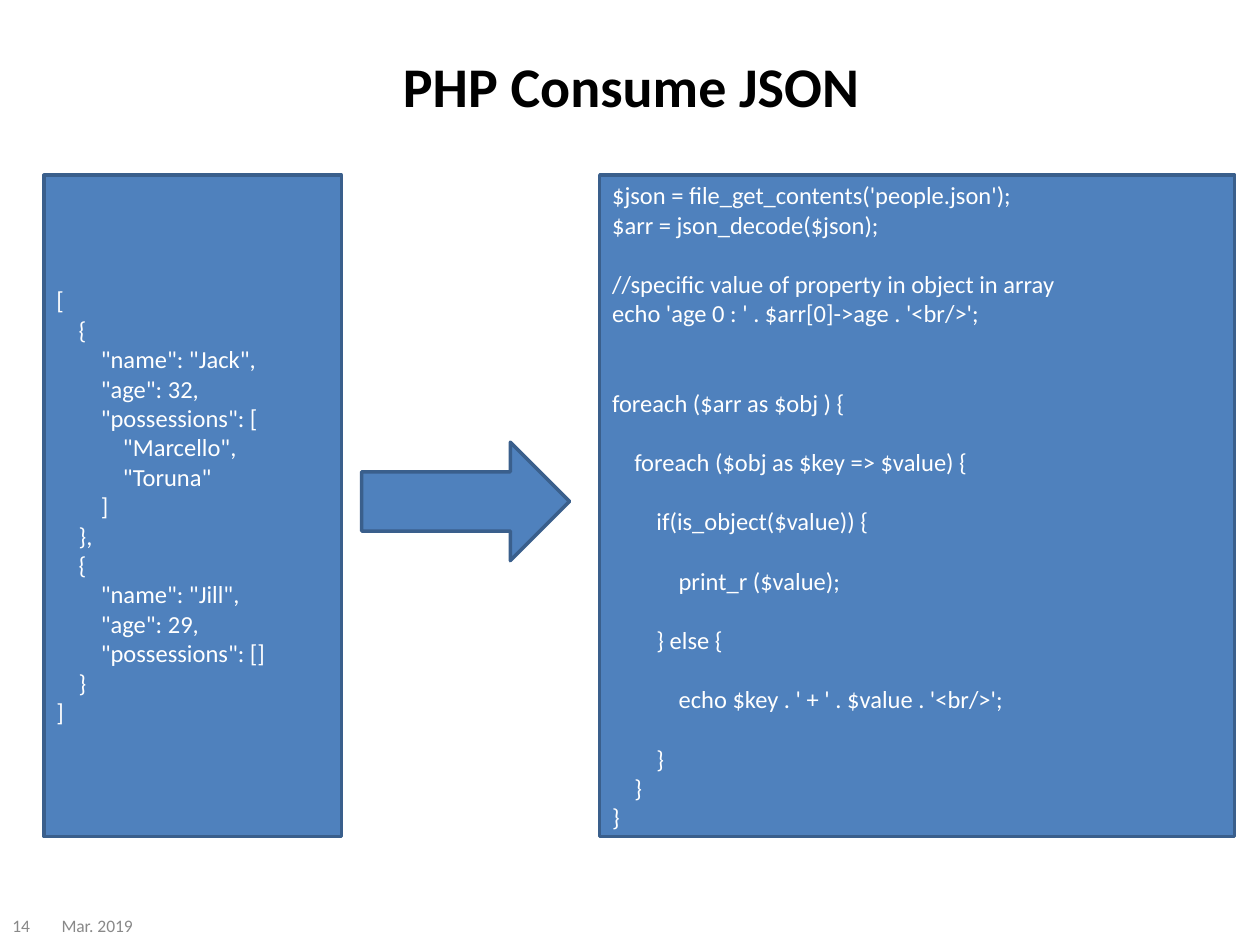
from pptx import Presentation
from pptx.dml.color import RGBColor
from pptx.enum import shapes, text
from pptx.util import Inches, Pt

BLUE = RGBColor(0x4F, 0x81, 0xBD)
EDGE = RGBColor(0x3A, 0x5F, 0x8C)
WHITE = RGBColor(0xFF, 0xFF, 0xFF)
BLACK = RGBColor(0, 0, 0)
GREY = RGBColor(0x89, 0x89, 0x89)
FONT = "Calibri"
CODE_LINE = 17.09
INDENT = Inches(0.176)

JSON_LINES = [
    (0, 0, "["),
    (1, 0, "{"),
    (2, 0, '"name": "Jack",'),
    (2, 0, '"age": 32,'),
    (2, 0, '"possessions": ['),
    (3, 0, '"Marcello",'),
    (3, 0, '"Toruna"'),
    (2, 0, "]"),
    (1, 0, "},"),
    (1, 0, "{"),
    (2, 0, '"name": "Jill",'),
    (2, 0, '"age": 29,'),
    (2, 0, '"possessions": []'),
    (1, 0, "}"),
    (0, 0, "]"),
]
PHP_LINES = [
    (0, 0, "$json = file_get_contents('people.json');"),
    (0, 0, "$arr = json_decode($json);"),
    (0, 1, "//specific value of property in object in array"),
    (0, 0, "echo 'age 0 : ' . $arr[0]->age . '<br/>';"),
    (0, 2, "foreach ($arr as $obj ) {"),
    (1, 1, "foreach ($obj as $key => $value) {"),
    (2, 1, "if(is_object($value)) {"),
    (3, 1, "print_r ($value);"),
    (2, 1, "} else {"),
    (3, 1, "echo $key . ' + ' . $value . '<br/>';"),
    (2, 1, "}"),
    (1, 0, "}"),
    (0, 0, "}"),
]


def style(paragraph, size, color, bold=False, align=text.PP_ALIGN.LEFT):
    paragraph.alignment = align
    for run in paragraph.runs:
        run.font.name = FONT
        run.font.size = Pt(size)
        run.font.bold = bold
        run.font.color.rgb = color


def add_label(slide, box, words, size, color, **look):
    frame = slide.shapes.add_textbox(*map(Inches, box)).text_frame
    frame.word_wrap = True
    frame.vertical_anchor = text.MSO_ANCHOR.MIDDLE
    frame.text = words
    style(frame.paragraphs[0], size, color, **look)


def add_block(slide, kind, box):
    block = slide.shapes.add_shape(kind, *map(Inches, box))
    block.shadow.inherit = False
    block.fill.solid()
    block.fill.fore_color.rgb = BLUE
    block.line.color.rgb = EDGE
    block.line.width = Pt(2)
    return block


def add_code(slide, box, lines):
    frame = add_block(slide, shapes.MSO_SHAPE.RECTANGLE, box).text_frame
    frame.word_wrap = True
    frame.vertical_anchor = text.MSO_ANCHOR.MIDDLE
    frame.text = "\n".join(words for _, _, words in lines)
    for paragraph, (level, gap, _) in zip(frame.paragraphs, lines):
        style(paragraph, 14, WHITE)
        paragraph.space_before = Pt(gap * CODE_LINE)
        properties = paragraph._p.get_or_add_pPr()
        properties.set("marL", str(level * INDENT))
        properties.set("indent", "0")


def main():
    deck = Presentation()
    deck.slide_width, deck.slide_height = Inches(10), Inches(7.5)
    slide = deck.slides.add_slide(deck.slide_layouts[6])
    add_label(slide, (0.51, 0.05, 9, 1.25), "PHP Consume JSON", 32, BLACK,
              bold=True, align=text.PP_ALIGN.CENTER)
    add_label(slide, (0.39, 7.19, 0.94, 0.31), "Mar. 2019", 10, GREY)
    add_label(slide, (0, 7.19, 0.47, 0.31), "14", 10, GREY)
    add_code(slide, (4.76, 1.39, 5.04, 5.25), PHP_LINES)
    add_code(slide, (0.35, 1.39, 2.36, 5.25), JSON_LINES)
    add_block(slide, shapes.MSO_SHAPE.RIGHT_ARROW, (2.87, 3.51, 1.65, 0.94))
    deck.save("out.pptx")


main()
